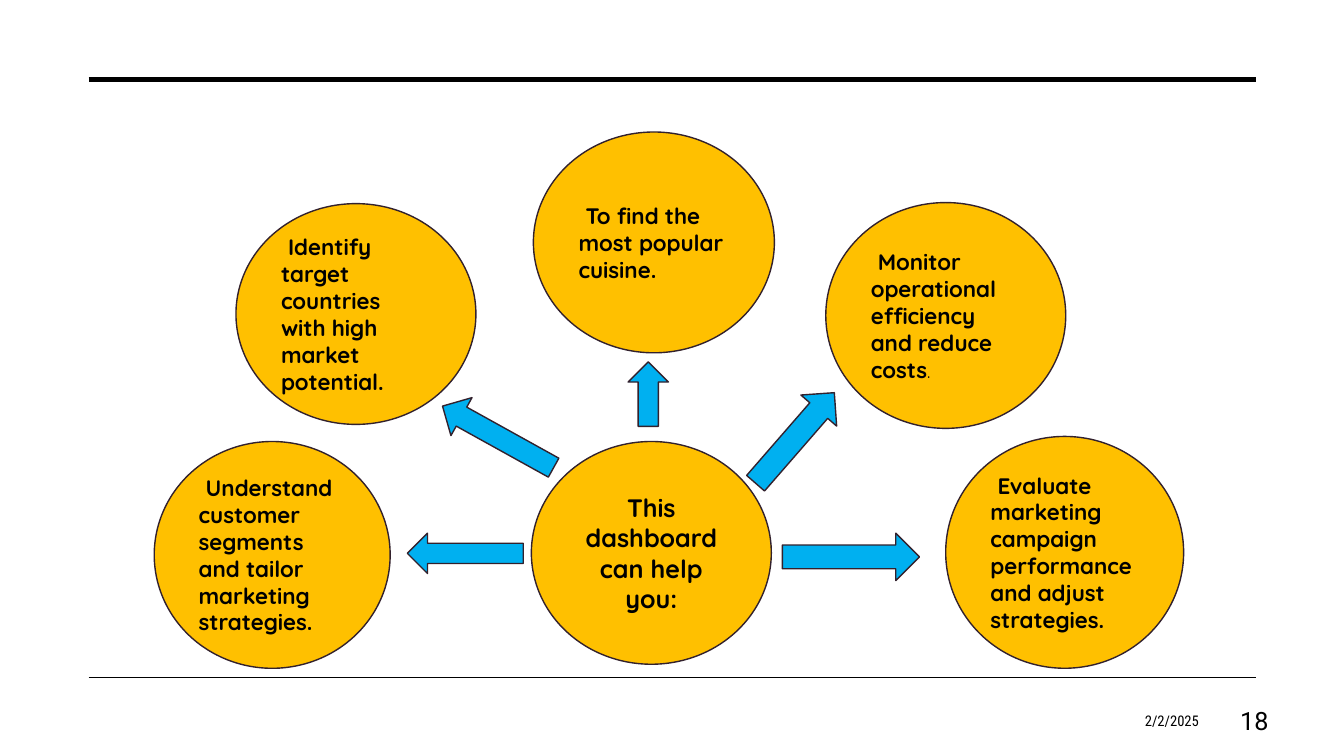
from lxml import etree
from pptx import Presentation
from pptx import util as u
from pptx.dml.color import RGBColor
from pptx.enum import shapes, text
from pptx.oxml.ns import qn

SHAPE = shapes.MSO_SHAPE
ALIGN = text.PP_ALIGN
BLACK, GOLD, BLUE, OUTLINE = "000000", "FFC000", "00B0F0", "32212D"

# Outer circles: left, top, width, height within the diagram, runs of (text, size, bold)
BENEFITS = [
    (0.81, 0.71, 2.38, 2.19,
     [("Identify target countries with high market potential.", 16, True)]),
    (0, 3.07, 2.34, 2.25,
     [("Understand customer segments and tailor marketing strategies.", 16, True)]),
    (3.76, 0, 2.39, 2.19, [("To find the most popular cuisine.", 16, True)]),
    (7.85, 3.02, 2.36, 2.3,
     [("Evaluate marketing campaign performance and adjust strategies.", 16, True)]),
    (6.66, 0.7, 2.38, 2.24,
     [("Monitor operational efficiency and reduce costs", 16, True), (".", 13, False)]),
]

# Arrows: preset, left, top, width, height within the diagram, rotation
ARROWS = [
    (SHAPE.LEFT_ARROW, 2.51, 3.98, 1.15, 0.4, 0),
    (SHAPE.UP_ARROW, 4.7, 2.28, 0.4, 0.64, 0),
    (SHAPE.RIGHT_ARROW, 6.23, 3.98, 1.36, 0.47, 0),
    (SHAPE.LEFT_ARROW, 2.78, 2.81, 1.26, 0.43, 29),
    (SHAPE.UP_ARROW, 6.12, 2.44, 0.47, 1.19, 41),
]


def rgb(color):
    return RGBColor.from_string(color)


def add_text(tf, runs, font, align=ALIGN.LEFT, indent=0):
    """Fill a frame with one paragraph of (text, size, bold) runs."""
    tf.word_wrap = True
    tf.vertical_anchor = text.MSO_ANCHOR.MIDDLE
    p = tf.paragraphs[0]
    p.alignment = align
    if indent:
        p._p.get_or_add_pPr().set("indent", str(u.Inches(indent)))
    for words, size, bold in runs:
        r = p.add_run()
        r.text = words
        r.font.name, r.font.size, r.font.bold = font, u.Pt(size), bold
        r.font.color.rgb = rgb(BLACK)


def add_figure(s, preset, left, top, width, height, fill, rotation=0):
    sp = s.shapes.add_shape(preset, *map(u.Inches, (left, top, width, height)))
    sp.shadow.inherit = False
    sp.fill.solid()
    sp.fill.fore_color.rgb = rgb(fill)
    sp.line.color.rgb = rgb(OUTLINE)
    sp.line.width = u.Pt(1)
    sp.rotation = rotation
    return sp


def add_rules(s, left, top, width, height):
    """Thick rule along the top of the box, thin rule along its foot."""
    for y, weight in ((top, 3.5), (top + height, 1)):
        line = s.shapes.add_connector(
            shapes.MSO_CONNECTOR.STRAIGHT,
            *map(u.Inches, (left, y, left + width, y)))
        line.line.color.rgb = rgb(BLACK)
        line.line.width = u.Pt(weight)
        etree.SubElement(line._element.spPr, qn("a:effectLst"))


def add_footer(s, left, top, height):
    """Date, then slide number, both right-aligned."""
    for x, width, words, size, font in (
            (0, 2.84, "2/2/2025", 10.5, "Roboto Condensed"),
            (2.79, 0.74, "18", 18, "Roboto")):
        box = s.shapes.add_textbox(*map(u.Inches, (left + x, top, width, height)))
        add_text(box.text_frame, [(words, size, False)], font, ALIGN.RIGHT)


def add_diagram(s, left, top):
    """Hub circle with arrows to the benefits around it."""
    hub = add_figure(s, SHAPE.OVAL, left + 3.74, top + 3.07, 2.38, 2.21, GOLD)
    add_text(hub.text_frame, [("This dashboard can help you:", 18, True)],
             "Quicksand", ALIGN.CENTER)
    for x, y, width, height, runs in BENEFITS:
        sp = add_figure(s, SHAPE.OVAL, left + x, top + y, width, height, GOLD)
        add_text(sp.text_frame, runs, "Quicksand", indent=0.07)
    for preset, x, y, width, height, rotation in ARROWS:
        add_figure(s, preset, left + x, top + y, width, height, BLUE, rotation)


def main():
    prs = Presentation()
    prs.slide_width, prs.slide_height = u.Inches(13.33), u.Inches(7.5)
    s = prs.slides.add_slide(prs.slide_layouts[6])
    add_rules(s, 0.88, 0.79, 11.58, 5.93)
    add_footer(s, 9.15, 6.95, 0.4)
    add_diagram(s, 1.53, 1.31)
    prs.save("out.pptx")


if __name__ == "__main__":
    main()
